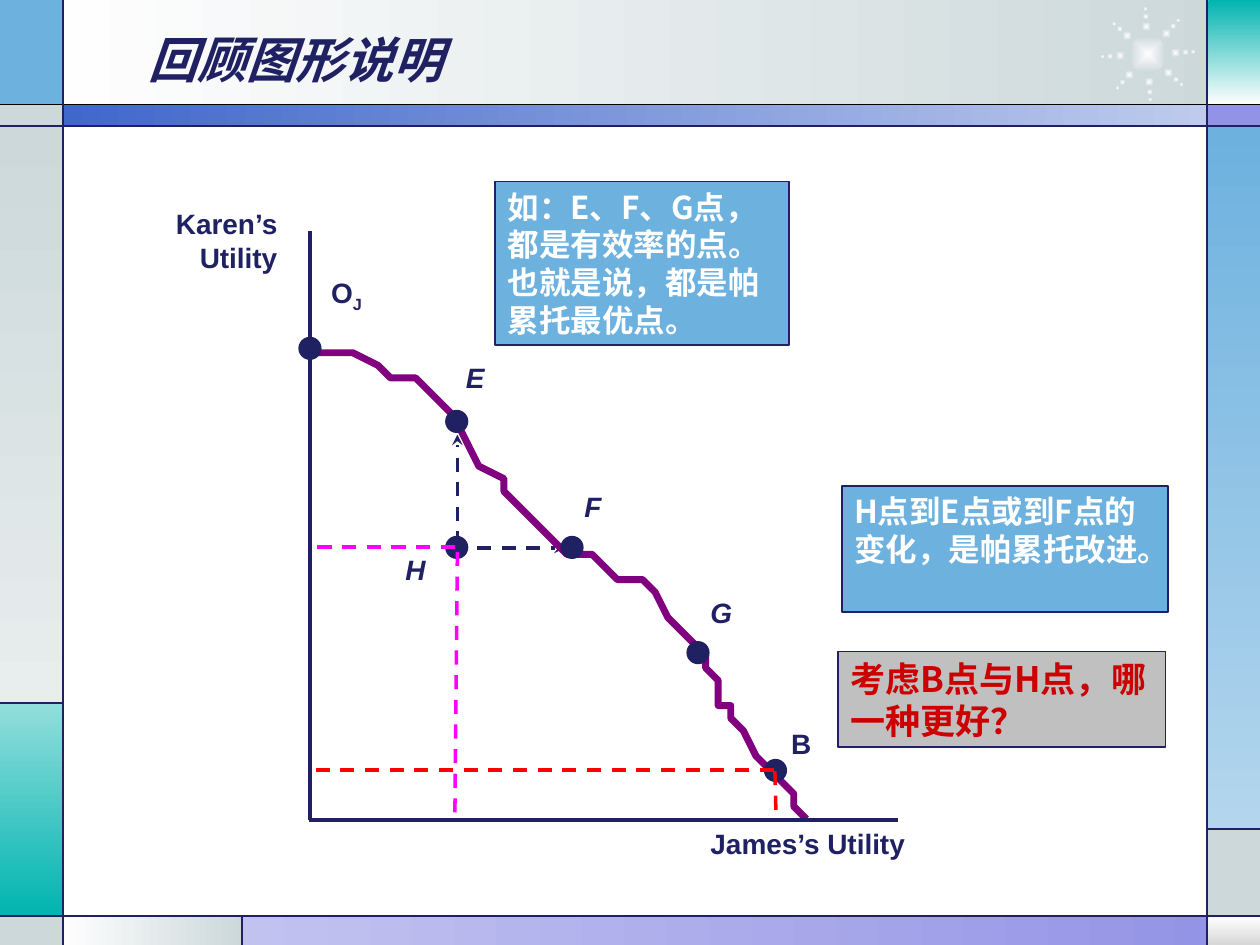
from math import cos, radians, sin

from lxml.etree import SubElement
from pptx import Presentation
from pptx.dml.color import RGBColor
from pptx.enum.dml import MSO_LINE
from pptx.enum.shapes import MSO_CONNECTOR, MSO_SHAPE
from pptx.enum.text import MSO_ANCHOR, MSO_AUTO_SIZE, PP_ALIGN
from pptx.oxml.ns import qn
from pptx.util import Inches, Pt

NAVY, SKY, MIST, TEAL = "1F2163", "6DB1DF", "CCD8DA", "00B4B0"
LILAC, WHITE, PEARL = "9292E6", "FFFFFF", "FEFEFE"
RED, PINK, PURPLE = "FF0000", "FF00FF", "800080"
LATIN, HAN = "Arial", "Noto Sans CJK SC"
CELL = Inches(0.1)


def color(value):
    return RGBColor.from_string(value)


def cells(*values):
    return [round(v * CELL) for v in values]


class Canvas:
    """Draws styled elements on one slide, on a grid of 100 columns by 75 rows."""

    def __init__(self, slide):
        self.shapes = slide.shapes

    def shape(self, box, fill, kind=MSO_SHAPE.RECTANGLE, line=None, angle=270):
        sp = self.shapes.add_shape(kind, *cells(*box))
        sp.shadow.inherit = False
        if isinstance(fill, tuple):
            sp.fill.gradient()
            sp.fill.gradient_angle = angle
            for stop, value in zip(sp.fill.gradient_stops, fill):
                stop.color.rgb = color(value)
        else:
            sp.fill.solid()
            sp.fill.fore_color.rgb = color(fill)
        if line:
            sp.line.color.rgb = color(line)
            sp.line.width = Pt(1)
        else:
            sp.line.fill.background()
        return sp

    def dot(self, x, y, size=1.7):
        self.shape((x - size / 2, y - size / 2, size, size), NAVY, MSO_SHAPE.OVAL, NAVY)

    def glow(self, x, y, size):
        box = (x - size / 2, y - size / 2, size, size)
        sp = self.shape(box, (PEARL, MIST), MSO_SHAPE.OVAL)
        grad = sp._element.spPr.find(qn("a:gradFill"))
        grad.remove(grad.find(qn("a:lin")))
        focus = SubElement(grad, qn("a:path"), {"path": "rect"})
        SubElement(focus, qn("a:fillToRect"), dict.fromkeys("ltrb", "50000"))

    def line(self, start, end, value=NAVY, width=2, dash=False, arrow=False):
        c = self.shapes.add_connector(MSO_CONNECTOR.STRAIGHT, *cells(*start, *end))
        c.line.color.rgb = color(value)
        c.line.width = Pt(width)
        if dash:
            c.line.dash_style = MSO_LINE.DASH
        if arrow:
            SubElement(c.line._get_or_add_ln(), qn("a:tailEnd"), {"type": "stealth"})
        SubElement(c._element.spPr, qn("a:effectLst"))

    def curve(self, points, value, width):
        builder = self.shapes.build_freeform(*points[0], scale=CELL)
        builder.add_line_segments(points[1:], close=False)
        sp = builder.convert_to_shape()
        sp.shadow.inherit = False
        sp.fill.background()
        sp.line.color.rgb = color(value)
        sp.line.width = Pt(width)

    def text(self, sp, lines, size, value, font=LATIN, italic=False,
             align=PP_ALIGN.LEFT, anchor=MSO_ANCHOR.TOP, wrap=True):
        tf = sp.text_frame
        tf.word_wrap = wrap
        tf.auto_size = MSO_AUTO_SIZE.NONE
        tf.vertical_anchor = anchor
        tf.text = lines
        for p in tf.paragraphs:
            p.alignment = align
            p.font.size, p.font.name = Pt(size), font
            p.font.bold, p.font.italic = True, italic
            p.font.color.rgb = color(value)
            if font == HAN:
                p.line_spacing = Pt(size * 1.2)
                for r in p.runs:
                    SubElement(r._r.get_or_add_rPr(), qn("a:ea"), {"typeface": HAN})
        return tf

    def label(self, box, lines, size=16, **style):
        sp = self.shapes.add_textbox(*cells(*box))
        return self.text(sp, lines, size, NAVY, **style)

    def note(self, box, lines, size=18, fill=SKY, value=WHITE):
        self.text(self.shape(box, fill, line=NAVY), lines, size, value, HAN)


prs = Presentation()
prs.slide_width, prs.slide_height = cells(100, 75)
s = Canvas(prs.slides.add_slide(prs.slide_layouts[6]))

ACROSS, DOWN = 0, 270
FRAME = [
    ((5, 0, 92.7, 8.4), (PEARL, MIST), ACROSS),
    ((0, 0, 5, 8.4), SKY, DOWN),
    ((0, 8.3, 5, 1.7), MIST, DOWN),
    ((0, 10, 5, 45.8), (MIST, "E8EDEE"), DOWN),
    ((0, 55.8, 5, 16.9), ("92DEDC", TEAL), DOWN),
    ((0, 72.7, 5, 2.3), MIST, DOWN),
    ((5, 72.7, 14.3, 2.3), (PEARL, MIST), ACROSS),
    ((19.2, 72.7, 80.8, 2.3), ("C2C2F0", LILAC), ACROSS),
    ((95.9, 72.7, 4.1, 2.3), (WHITE, "D7D7D7"), DOWN),
    ((95.8, 65.8, 4.2, 7), MIST, DOWN),
    ((95.8, 10, 4.2, 55.8), (SKY, "B3D6ED"), DOWN),
    ((95.8, 8.3, 4.2, 1.7), LILAC, DOWN),
    ((95.9, 0, 4.1, 8.3), (TEAL, PEARL), DOWN),
    ((5, 8.3, 90.9, 1.7), ("4067CA", "BECBEC"), ACROSS),
]
for box, fill, angle in FRAME:
    s.shape(box, fill, angle=angle)

STAR_X, STAR_Y = 91.1, 4.3
s.glow(STAR_X, STAR_Y, 3)
for ray in range(8):
    turn = radians(45 * ray - 3)
    for radius, size in [(2.2, 0.75), (3, 0.5), (3.6, 0.35)]:
        s.glow(STAR_X + radius * cos(turn), STAR_Y + radius * sin(turn), size)

RULES = [
    ((0, 8.3), (100, 8.3), "000000"),
    ((0, 10), (100, 10), NAVY),
    ((0, 72.7), (100, 72.7), NAVY),
    ((5, 0), (5, 75), NAVY),
    ((95.8, 0), (95.8, 75), NAVY),
    ((0, 55.8), (5, 55.8), NAVY),
    ((19.2, 72.7), (19.2, 75), NAVY),
    ((95.8, 65.8), (100, 65.8), NAVY),
]
for start, end, value in RULES:
    s.line(start, end, value, 0.75)

s.label((10.8, 1.3, 73.3, 6.2), "回顾图形说明", 28, font=HAN, italic=True,
        anchor=MSO_ANCHOR.BOTTOM)

s.dot(36.25, 43.45)
s.line((36.3, 43.3), (36.3, 34.5), dash=True, arrow=True)
s.line((35.9, 43.5), (44.8, 43.5), dash=True, arrow=True)

FRONTIER = [
    (24.5, 27.7), (25.8, 28), (27.7, 28.4), (29.6, 28.9), (30.5, 29.2), (31.3, 29.7),
    (32.7, 30.4), (34, 31.2), (35.1, 32.3), (36.3, 33.4), (37.4, 34.9), (38.5, 36.6),
    (39.6, 38.3), (40.2, 39), (40.9, 39.7), (42, 40.8), (43.1, 41.8), (44.2, 42.6),
    (45.4, 43.5), (46.7, 44.2), (48.1, 44.8), (49.4, 45.5), (50.6, 46.3), (51.9, 47.4),
    (53.2, 48.9), (54.4, 50.4), (55.5, 51.8), (56.2, 53.1), (56.7, 54.4), (57.2, 55.8),
    (57.5, 56.4), (57.9, 57), (58.9, 58.3), (60.1, 59.7), (61.3, 60.9), (62.2, 62.1),
    (62.8, 63.1), (63.3, 63.9), (63.6, 64.6), (63.8, 65.2),
]
s.curve(FRONTIER, PURPLE, 4)
s.line((24.6, 18.3), (24.6, 65.1))
s.line((24.5, 65.1), (71.3, 65.1))

for x, y in [(24.6, 27.65), (45.4, 43.45), (36.25, 33.45), (55.4, 51.8), (61.55, 61.15)]:
    s.dot(x, y)

for name, x, y, italic in [("H", 31.2, 43.4, True), ("E", 36, 28.1, True),
                           ("F", 45.4, 38.4, True), ("G", 55.4, 46.8, True),
                           ("B", 61.8, 57.2, False)]:
    s.label((x, y, 3.6, 3.6), name, italic=italic, wrap=False)
s.label((55.4, 65.1, 17.5, 3.6), "James’s Utility", wrap=False)
s.label((12.9, 15.9, 10.1, 6.3), "Karen’s\nUtility", align=PP_ALIGN.RIGHT, wrap=False)
p = s.label((25.3, 21.4, 4.4, 4), "O", wrap=False).paragraphs[0]
r = p.add_run()
r.text = "J"
r._r.get_or_add_rPr().set("baseline", "-25000")

s.note((39.3, 14.4, 23.3, 13), "如：E、F、G点，都是有效率的点。也就是说，都是帕累托最优点。")
s.note((66.8, 38.6, 25.9, 10), "H点到E点或到F点的变化，是帕累托改进。")
s.note((66.5, 51.7, 26, 7.6), "考虑B点与H点，哪一种更好？", 20, "C0C0C0", "CC0000")

for start, end, value in [((61.4, 61.1), (24.6, 61.1), RED),
                          ((61.5, 61.2), (61.6, 65.1), RED),
                          ((36.1, 43.4), (24.8, 43.4), PINK),
                          ((36.3, 43.8), (36.1, 65), PINK)]:
    s.line(start, end, value, dash=True)

prs.save("out.pptx")
